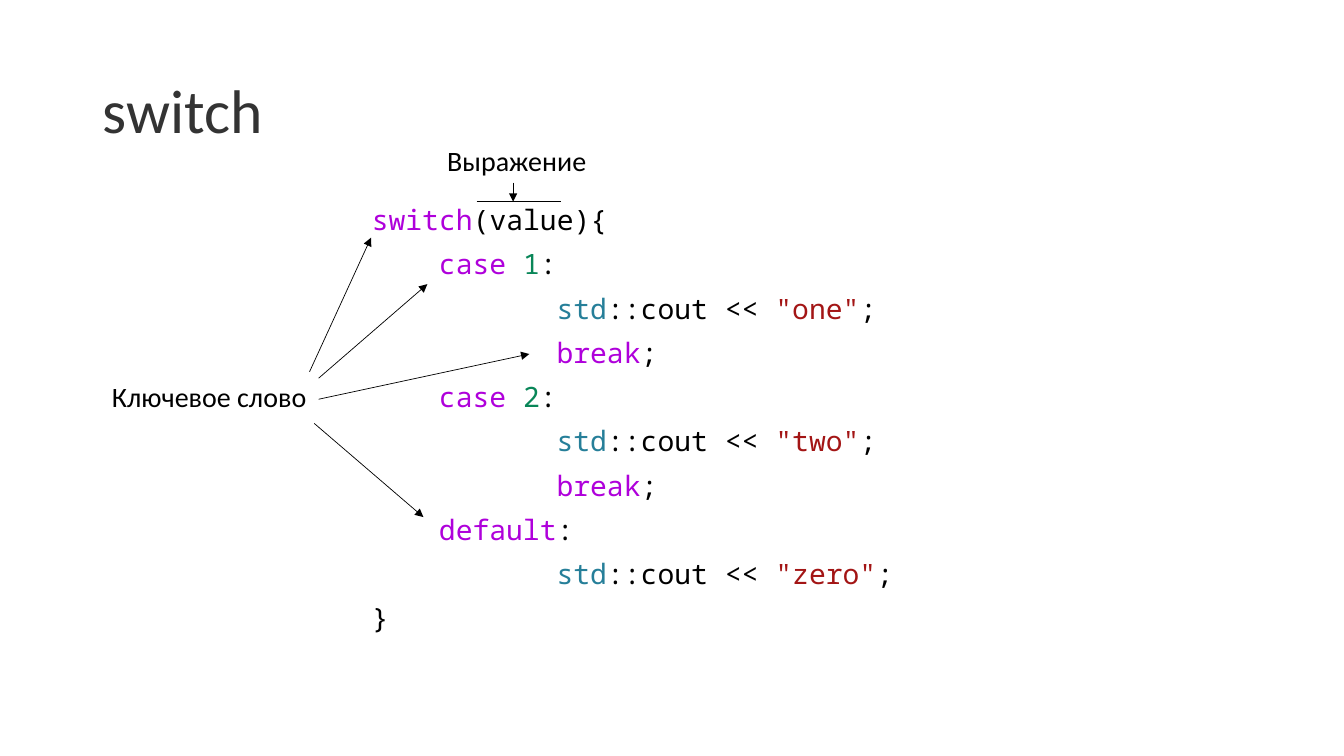
from dataclasses import dataclass

import lxml.etree
import pptx
import pptx.dml.color
import pptx.enum.shapes
import pptx.enum.text
import pptx.oxml.ns
import pptx.util

Cm = pptx.util.Cm
Pt = pptx.util.Pt


@dataclass(frozen=True)
class Theme:
    text_font: str = "Calibri"
    code_font: str = "Noto Sans Mono"
    title_size: int = 44
    body_size: int = 20
    line_width: float = 0.5
    title: str = "333333"
    plain: str = "000000"
    keyword: str = "AF00DB"
    number: str = "098658"
    namespace: str = "267F99"
    string: str = "A31515"


THEME = Theme()


@dataclass(frozen=True)
class Box:
    left: float
    top: float
    width: float
    height: float


@dataclass(frozen=True)
class CodeLine:
    indent: int  # in characters
    tokens: tuple[tuple[str, str], ...]


@dataclass(frozen=True)
class Label:
    text: str
    box: Box


@dataclass(frozen=True)
class Line:
    x1: float
    y1: float
    x2: float
    y2: float
    arrow: bool = True


# Code content
CHAR_WIDTH = Pt(0.6 * THEME.body_size)
CASE_INDENT, BODY_INDENT = 4, 11


def case(number: str) -> CodeLine:
    return CodeLine(CASE_INDENT, (("case ", THEME.keyword), (number, THEME.number),
                                  (":", THEME.plain)))


def cout(word: str) -> CodeLine:
    return CodeLine(BODY_INDENT, (("std", THEME.namespace), ("::cout << ", THEME.plain),
                                  (f'"{word}"', THEME.string), (";", THEME.plain)))


BREAK = CodeLine(BODY_INDENT, (("break", THEME.keyword), (";", THEME.plain)))

CODE = [
    CodeLine(0, (("switch", THEME.keyword), ("(value){", THEME.plain))),
    case("1"), cout("one"), BREAK,
    case("2"), cout("two"), BREAK,
    CodeLine(CASE_INDENT, (("default", THEME.keyword), (":", THEME.plain))),
    cout("zero"),
    CodeLine(0, (("}", THEME.plain),)),
]

# Layout, in centimetres
TITLE_BOX = Box(2.34, 1.02, 29.21, 3.68)
CODE_BOX = Box(9.12, 5.08, 22.43, 12.09)
LABELS = [
    Label("Ключевое слово", Box(2.57, 9.45, 5.46, 1.12)),
    Label("Выражение", Box(11.02, 3.48, 4.06, 1.12)),
]
LINES = [
    Line(12.93, 4.6, 12.93, 5.08),                # to the expression
    Line(12.01, 5.08, 14.15, 5.08, arrow=False),  # over the expression
    Line(8.03, 10.06, 13.34, 8.92),               # to break
    Line(8.03, 9.53, 10.77, 7.16),                # to case
    Line(7.92, 10.67, 10.67, 13.03),              # to default
    Line(7.8, 9.37, 9.35, 5.99),                  # to switch
]


def add_run(p, text: str, font: str, size: int, color: str) -> None:
    r = p.add_run()
    r.text = text
    r.font.name = font
    r.font.size = Pt(size)
    r.font.color.rgb = pptx.dml.color.RGBColor.from_string(color)


def add_text_box(s, box: Box):
    return s.shapes.add_textbox(Cm(box.left), Cm(box.top), Cm(box.width), Cm(box.height))


def set_title(s, text: str) -> None:
    sp = s.shapes.title
    sp.left, sp.top = Cm(TITLE_BOX.left), Cm(TITLE_BOX.top)
    sp.width, sp.height = Cm(TITLE_BOX.width), Cm(TITLE_BOX.height)
    tf = sp.text_frame
    tf.vertical_anchor = pptx.enum.text.MSO_ANCHOR.MIDDLE
    p = tf.paragraphs[0]
    p.alignment = pptx.enum.text.PP_ALIGN.LEFT
    p.line_spacing = 0.9
    add_run(p, text, THEME.text_font, THEME.title_size, THEME.title)


def add_code(s, lines: list[CodeLine]) -> None:
    tf = add_text_box(s, CODE_BOX).text_frame
    tf.word_wrap = True
    for i, line in enumerate(lines):
        p = tf.add_paragraph() if i else tf.paragraphs[0]
        p.line_spacing = 0.9
        p.space_before = Pt(10)
        p._p.get_or_add_pPr().set("marL", str(int(line.indent * CHAR_WIDTH)))
        for text, color in line.tokens:
            add_run(p, text, THEME.code_font, THEME.body_size, color)


def add_label(s, label: Label) -> None:
    tf = add_text_box(s, label.box).text_frame
    tf.word_wrap = False
    tf.auto_size = pptx.enum.text.MSO_AUTO_SIZE.SHAPE_TO_FIT_TEXT
    add_run(tf.paragraphs[0], label.text, THEME.text_font, THEME.body_size, THEME.plain)


def add_line(s, line: Line) -> None:
    sp = s.shapes.add_connector(pptx.enum.shapes.MSO_CONNECTOR.STRAIGHT,
                                Cm(line.x1), Cm(line.y1), Cm(line.x2), Cm(line.y2))
    sp.line.width = Pt(THEME.line_width)
    sp.line.color.rgb = pptx.dml.color.RGBColor.from_string(THEME.plain)
    qn = pptx.oxml.ns.qn
    spPr = sp._element.spPr
    if line.arrow:
        lxml.etree.SubElement(spPr.find(qn("a:ln")), qn("a:tailEnd"), type="triangle")
    lxml.etree.SubElement(spPr, qn("a:effectLst"))


def main() -> None:
    prs = pptx.Presentation()
    prs.slide_width, prs.slide_height = Cm(33.87), Cm(19.05)
    s = prs.slides.add_slide(prs.slide_layouts.get_by_name("Title Only"))
    set_title(s, "switch")
    add_code(s, CODE)
    for label in LABELS:
        add_label(s, label)
    for line in LINES:
        add_line(s, line)
    prs.save("out.pptx")


if __name__ == "__main__":
    main()
